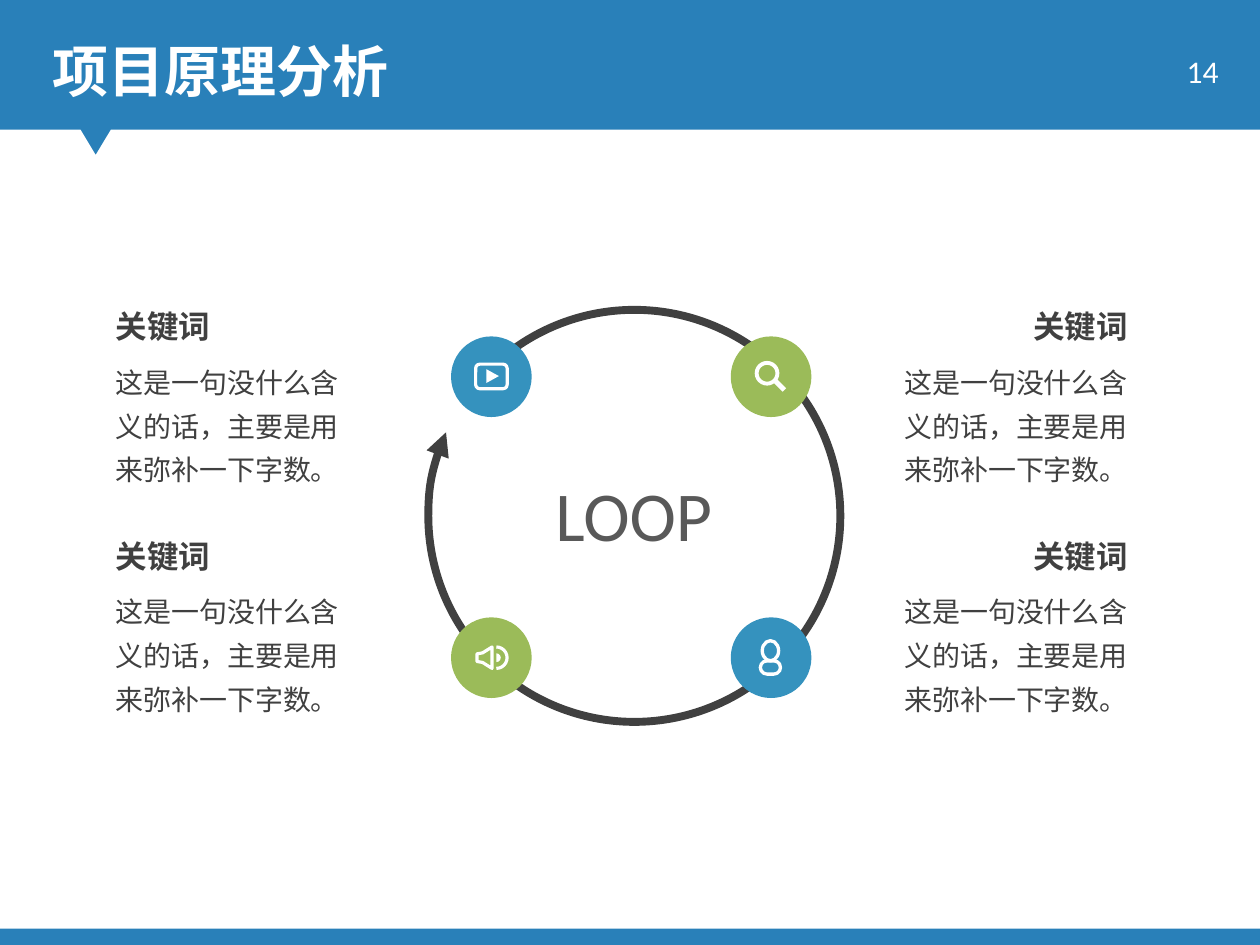
from dataclasses import dataclass

from lxml.etree import SubElement
from pptx import Presentation
from pptx.dml.color import RGBColor
from pptx.enum.shapes import MSO_CONNECTOR, MSO_SHAPE
from pptx.enum.text import MSO_ANCHOR, MSO_AUTO_SIZE, PP_ALIGN
from pptx.oxml.ns import qn
from pptx.util import Inches, Pt


@dataclass(frozen=True)
class Theme:
    """Colours, fonts and type sizes of the deck."""
    band: str = "2980B9"
    blue: str = "3592BE"
    green: str = "9BBB59"
    white: str = "FFFFFF"
    dark: str = "404040"
    grey: str = "595959"
    latin: str = "Calibri"
    chinese: str = "Noto Sans CJK SC"
    title: int = 32
    loop: int = 40
    heading: int = 18
    body: int = 16


@dataclass(frozen=True)
class Box:
    """A rectangle in grid cells, on a grid of 100 columns by 75 rows."""
    left: float
    top: float
    width: float
    height: float

    def inner(self, left, top, width, height):
        """Return a box placed relative to this one."""
        return Box(self.left + left, self.top + top, width, height)

    def lengths(self):
        """Return the position and size as slide lengths."""
        return [cells(n) for n in (self.left, self.top, self.width, self.height)]

    def point(self, column, row):
        """Return a point relative to this box as slide lengths."""
        return cells(self.left + column), cells(self.top + row)


THEME = Theme()
PAGE = Box(0, 0, 100, 75)


def cells(count):
    """Convert grid cells to a slide length."""
    return Inches(count / 10)


def colour(code):
    """Return a colour from its hex code."""
    return RGBColor.from_string(code)


def paint(shape, fill=None, line=None, weight=1):
    """Set the fill and outline of a shape without a shadow."""
    shape.shadow.inherit = False
    if fill:
        shape.fill.solid()
        shape.fill.fore_color.rgb = colour(fill)
    else:
        shape.fill.background()
    if line:
        shape.line.color.rgb = colour(line)
        shape.line.width = Pt(weight)
    else:
        shape.line.fill.background()
    return shape


def preset(shapes, kind, box, adjustments=(), **style):
    """Add a painted preset shape."""
    shape = shapes.add_shape(kind, *box.lengths())
    for index, value in enumerate(adjustments):
        shape.adjustments[index] = value
    return paint(shape, **style)


def polygon(shapes, box, points, **style):
    """Add a painted closed outline."""
    start, *rest = [box.point(*point) for point in points]
    builder = shapes.build_freeform(*start)
    builder.add_line_segments(rest, close=True)
    return paint(builder.convert_to_shape(), **style)


def write(shapes, box, lines, align=PP_ALIGN.LEFT, wrap=True, grow=True,
          anchor=MSO_ANCHOR.TOP, before=0, spacing=1.0, font=THEME.latin):
    """Add a text box with lines of (text, size, colour, bold)."""
    frame = shapes.add_textbox(*box.lengths()).text_frame
    frame.text = "\n".join(line[0] for line in lines)
    frame.word_wrap = wrap
    frame.vertical_anchor = anchor
    frame.auto_size = MSO_AUTO_SIZE.SHAPE_TO_FIT_TEXT if grow else MSO_AUTO_SIZE.NONE
    for para, (_, size, ink, bold) in zip(frame.paragraphs, lines):
        para.alignment = align
        para.space_before = Pt(before)
        para.line_spacing = spacing
        for span in para.runs:
            span.font.name = font
            span.font.size = Pt(size)
            span.font.bold = bold
            span.font.color.rgb = colour(ink)
            SubElement(span.font._element, qn("a:ea"), typeface=THEME.chinese)


def add_frame(shapes, box, title, number):
    """Add the title band with its pointer, the bottom band and the page number."""
    preset(shapes, MSO_SHAPE.RECTANGLE, box, fill=THEME.band)
    top, bottom, right = 10.3, 73.7, box.width
    outline = [(0, top), (6.4, top), (7.6, 12.3), (8.8, top),
               (right, top), (right, bottom), (0, bottom)]
    polygon(shapes, box, outline, fill=THEME.white)
    write(shapes, box.inner(3.2, 2.4, 77.6, 6.4),
          [(title, THEME.title, THEME.white, True)], before=10)
    write(shapes, box.inner(88.7, 3.1, 9, 5),
          [(number, THEME.heading, THEME.white, False)],
          align=PP_ALIGN.RIGHT, grow=False, anchor=MSO_ANCHOR.MIDDLE)


def draw_play(shapes, box):
    """Draw a video frame with a play mark."""
    preset(shapes, MSO_SHAPE.ROUNDED_RECTANGLE, box.inner(1.95, 2.2, 2.5, 1.95),
           line=THEME.white, weight=1.8)
    polygon(shapes, box, [(2.8, 2.6), (3.8, 3.15), (2.8, 3.7)], fill=THEME.white)


def draw_search(shapes, box):
    """Draw a magnifying glass."""
    preset(shapes, MSO_SHAPE.OVAL, box.inner(2.05, 2.1, 1.65, 1.65),
           line=THEME.white, weight=2.2)
    handle = shapes.add_connector(MSO_CONNECTOR.STRAIGHT,
                                  *box.point(3.5, 3.5), *box.point(4.25, 4.25))
    handle.line.color.rgb = colour(THEME.white)
    handle.line.width = Pt(2.8)
    SubElement(handle._element.spPr, qn("a:effectLst"))


def draw_person(shapes, box):
    """Draw a head above shoulders."""
    preset(shapes, MSO_SHAPE.OVAL, box.inner(2.5, 1.85, 1.3, 1.6),
           line=THEME.white, weight=1.9)
    preset(shapes, MSO_SHAPE.ROUNDED_RECTANGLE, box.inner(2.35, 3.45, 1.6, 1.05),
           [0.5], line=THEME.white, weight=1.9)


def draw_speaker(shapes, box):
    """Draw a loudspeaker with sound waves."""
    horn = [(2.05, 2.9), (2.5, 2.82), (3.25, 2.35),
            (3.25, 4.05), (2.5, 3.58), (2.05, 3.5)]
    polygon(shapes, box, horn, line=THEME.white, weight=1.8)
    right_half = [162, 54]
    preset(shapes, MSO_SHAPE.CHORD, box.inner(3.25, 2.85, 0.7, 0.7),
           right_half, fill=THEME.white)
    preset(shapes, MSO_SHAPE.ARC, box.inner(2.75, 2.35, 1.7, 1.7),
           right_half, line=THEME.white, weight=1.8)


def add_loop(shapes, box):
    """Add the circular arrow, its label and the four icon badges."""
    ring = preset(shapes, MSO_SHAPE.ARC, box, [132.54, 122.35],
                  line=THEME.dark, weight=4.5)
    SubElement(ring._element.spPr.find(qn("a:ln")), qn("a:tailEnd"), type="triangle")
    write(shapes, box.inner(9, 12.3, 14.6, 7.7),
          [("LOOP", THEME.loop, THEME.grey, False)],
          align=PP_ALIGN.CENTER, wrap=False)
    icons = [draw_play, draw_search, draw_speaker, draw_person]
    for index, draw in enumerate(icons):
        row, column = divmod(index, 2)
        badge = box.inner(1.8 + 22.2 * column, 2.1 + 22.3 * row, 6.4, 6.4)
        group = shapes.add_group_shape().shapes
        preset(group, MSO_SHAPE.OVAL, badge,
               fill=THEME.blue if row == column else THEME.green)
        draw(group, badge)


def add_keywords(shapes, box):
    """Add the four keyword notes, aligned to the outer sides."""
    lines = [("关键词", THEME.heading, THEME.dark, True),
             ("这是一句没什么含义的话，主要是用来弥补一下字数。",
              THEME.body, THEME.dark, False)]
    width, height = 21.5, 16.3
    for column, align in enumerate((PP_ALIGN.LEFT, PP_ALIGN.RIGHT)):
        for row in range(2):
            note = box.inner(column * (box.width - width),
                             row * (box.height - height), width, height)
            write(shapes, note, lines, align=align, before=6,
                  spacing=1.3, font=THEME.chinese)


def build():
    """Build the deck and save it."""
    deck = Presentation()
    deck.slide_width, deck.slide_height = cells(PAGE.width), cells(PAGE.height)
    shapes = deck.slides.add_slide(deck.slide_layouts[6]).shapes
    add_frame(shapes, PAGE, "项目原理分析", "14")
    add_loop(shapes, PAGE.inner(34, 24.6, 32.7, 32.7))
    add_keywords(shapes, PAGE.inner(8.2, 23, 82.3, 34.5))
    deck.save("out.pptx")


build()
